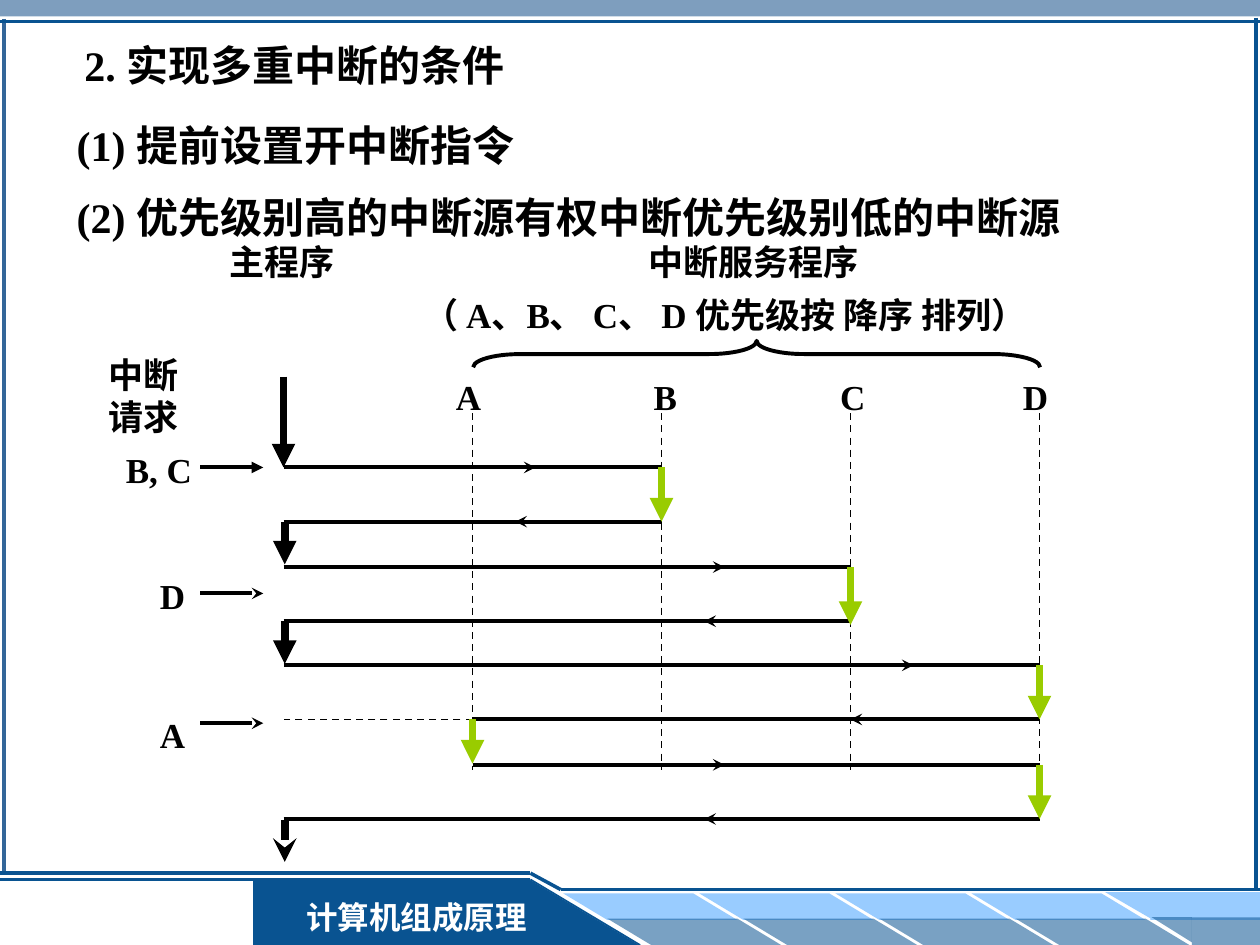
from dataclasses import dataclass

import pptx
import pptx.util
from lxml import etree
from pptx.dml.color import RGBColor
from pptx.enum.dml import MSO_LINE
from pptx.enum.shapes import MSO_CONNECTOR, MSO_SHAPE
from pptx.enum.text import MSO_ANCHOR, MSO_AUTO_SIZE, PP_ALIGN
from pptx.oxml.ns import qn
from pptx.util import Inches


@dataclass(frozen=True)
class Theme:
    font: str = "Times New Roman"
    ink: str = "000000"
    white: str = "FFFFFF"
    navy: str = "095391"
    steel: str = "336699"
    sky: str = "99CCFF"
    green: str = "99CC00"
    head: int = 24
    label: int = 20
    foot: int = 18
    thin: float = 1
    rule: float = 2
    flow: float = 2.25
    bold: float = 4.5


THEME = Theme()
LANES = {"A": 3.75, "B": 5.25, "C": 6.75, "D": 8.25}
MAIN = 2.25


def style(frame, text, size, color=THEME.ink, align=PP_ALIGN.LEFT):
    frame.text = text
    for para in frame.paragraphs:
        para.alignment = align
        for run in para.runs:
            font = run.font
            font.name, font.size, font.bold = THEME.font, pptx.util.Pt(size), True
            font.color.rgb = RGBColor.from_string(color)


def label(slide, text, x, y, w, h=0.44, size=THEME.label):
    box = slide.shapes.add_textbox(Inches(x), Inches(y), Inches(w), Inches(h))
    frame = box.text_frame
    frame.word_wrap = False
    frame.auto_size = MSO_AUTO_SIZE.NONE
    # Spare room on the right keeps each label on its own line
    frame.margin_right = 0
    style(frame, text, size)


def line(slide, start, end, width, color=THEME.ink, tip=None, dash=False):
    link = slide.shapes.add_connector(
        MSO_CONNECTOR.STRAIGHT, *(Inches(v) for v in (*start, *end)))
    link.line.width = pptx.util.Pt(width)
    link.line.color.rgb = RGBColor.from_string(color)
    if dash:
        link.line.dash_style = MSO_LINE.DASH
    props = link._element.spPr
    if tip:
        etree.SubElement(props.find(qn("a:ln")), qn("a:tailEnd"), type=tip)
    etree.SubElement(props, qn("a:effectLst"))


def block(slide, kind, x, y, w, h, color, alpha=None, flip="", adj=None):
    shape = slide.shapes.add_shape(kind, Inches(x), Inches(y), Inches(w), Inches(h))
    shape.shadow.inherit = False
    shape.fill.solid()
    shape.fill.fore_color.rgb = RGBColor.from_string(color)
    shape.line.fill.background()
    if adj:
        shape.adjustments[0] = adj
    props = shape._element.spPr
    for axis in flip:
        props.find(qn("a:xfrm")).set("flip" + axis, "1")
    if alpha:
        tint = props.find(qn("a:solidFill"))[0]
        etree.SubElement(tint, qn("a:alpha"), val=str(alpha * 1000))
    return shape


def border(slide):
    rect, wedge = MSO_SHAPE.RECTANGLE, MSO_SHAPE.RIGHT_TRIANGLE
    navy, sky = THEME.navy, THEME.sky
    block(slide, rect, 0, 0, 10, 0.13, THEME.steel, 63)
    line(slide, (0.03, 0.15), (0.03, 6.93), THEME.rule, THEME.steel)

    # Course tab
    block(slide, rect, 2.01, 6.98, 2.2, 0.52, navy)
    line(slide, (5.08, 7.5), (4.21, 6.98), 1, navy)
    line(slide, (4.21, 6.98), (0, 6.98), 1.5, navy)
    line(slide, (-0.01, 6.93), (4.21, 6.93), THEME.rule, navy)

    # Slanted tiles
    for i in range(4):
        x = 4.47 + 1.08 * i
        for dx, y, color, alpha in ((0, 7.09, sky, None), (0.35, 7.29, navy, 54)):
            block(slide, MSO_SHAPE.PARALLELOGRAM, x + dx, y, 1.38, 0.21,
                  color, alpha, "H", 1.66)
    block(slide, rect, 9.13, 7.08, 0.87, 0.22, sky)
    block(slide, wedge, 8.77, 7.08, 0.38, 0.22, sky, flip="HV")
    block(slide, rect, 9.46, 7.28, 0.54, 0.22, navy, 54)
    block(slide, wedge, 9.14, 7.28, 0.32, 0.2, navy, 54, "HV")
    line(slide, (4.45, 7.06), (10, 7.06), THEME.rule, navy)

    # Course name and edges
    name = block(slide, rect, 2.28, 7.08, 2.05, 0.4, navy)
    name.text_frame.vertical_anchor = MSO_ANCHOR.TOP
    style(name.text_frame, "计算机组成原理", THEME.foot, THEME.white, PP_ALIGN.CENTER)
    block(slide, wedge, 4.2, 6.98, 0.87, 0.52, navy)
    for start, end in (((4.21, 6.93), (4.45, 7.06)),
                       ((0, 0.17), (10, 0.17)),
                       ((9.97, 0.14), (9.97, 7.07))):
        line(slide, start, end, THEME.rule, navy)


def heading(slide):
    title = slide.shapes.title
    title.left, title.top = Inches(0.67), Inches(0.28)
    title.width, title.height = Inches(6.77), Inches(0.47)
    frame = title.text_frame
    frame.margin_left = frame.margin_right = 0
    frame.margin_top = frame.margin_bottom = 0
    frame.word_wrap = False
    frame.auto_size = MSO_AUTO_SIZE.NONE
    frame.vertical_anchor = MSO_ANCHOR.MIDDLE
    style(frame, "2. 实现多重中断的条件", THEME.head)
    label(slide, "(1) 提前设置开中断指令", 0.51, 0.9, 6.54, 0.5, THEME.head)
    label(slide, "(2) 优先级别高的中断源有权中断优先级别低的中断源",
          0.51, 1.47, 9.73, 0.5, THEME.head)


def lanes(slide):
    label(slide, "主程序", 1.72, 1.86, 1.03)
    label(slide, "中断服务程序", 5.05, 1.86, 1.87)
    label(slide, "（ A、B、 C、 D 优先级按 降序 排列）", 3.26, 2.28, 5.52)
    label(slide, "中断\n请求", 0.76, 2.76, 0.75, 0.77)

    brace = block(slide, MSO_SHAPE.LEFT_BRACE, 5.9, 0.56, 0.21, 4.5,
                  THEME.white, adj=1.79)
    brace.rotation = 90
    brace.fill.background()
    brace.line.width = pptx.util.Pt(THEME.flow)
    brace.line.color.rgb = RGBColor.from_string(THEME.ink)

    for (name, x), left in zip(LANES.items(), (3.52, 5.09, 6.57, 8.02)):
        line(slide, (x, 3.28), (x, 6.11), THEME.thin, dash=True)
        label(slide, name, left, 2.93, 0.4)


def flow(slide):
    # Jumps and returns: height, left end, right end, start of arrow, direction
    a, b, c, d = LANES.values()
    for y, left, right, start, way in (
            (3.71, MAIN, b, 3.75, 1), (4.14, MAIN, b, 4.59, -1),
            (4.5, MAIN, c, 5.25, 1), (4.93, MAIN, c, 6.09, -1),
            (5.28, MAIN, d, 6.75, 1), (5.71, a, d, 7.25, -1),
            (6.07, a, d, 5.25, 1), (6.5, MAIN, d, 6.09, -1)):
        line(slide, (left, y), (right, y), THEME.flow)
        line(slide, (start, y), (start + 0.5 * way, y), THEME.flow, tip="stealth")
    line(slide, (a, 5.71), (MAIN, 5.71), THEME.thin, dash=True)

    # Main program
    for x, top, end, tip in ((MAIN, 2.99, 3.71, "triangle"),
                             (2.26, 4.14, 4.48, "triangle"),
                             (2.26, 4.93, 5.27, "triangle"),
                             (2.26, 6.51, 6.84, "stealth")):
        line(slide, (x, top), (x, end), THEME.bold, tip=tip)

    # Service routines
    for x, top, end in ((b, 3.71, 4.14), (c, 4.5, 4.96), (d, 5.28, 5.71),
                        (a, 5.71, 6.06), (d, 6.07, 6.5)):
        line(slide, (x, top), (x, end), THEME.bold, THEME.green, "triangle")

    # Requests
    for text, x, y, w, level, tip in (("B, C", 0.9, 3.51, 0.72, 3.71, "triangle"),
                                      ("D", 1.17, 4.51, 0.4, 4.71, "stealth"),
                                      ("A", 1.17, 5.61, 0.4, 5.74, "stealth")):
        label(slide, text, x, y, w)
        line(slide, (1.59, level), (2.09, level), THEME.flow, tip=tip)


def main():
    deck = pptx.Presentation()
    deck.slide_width, deck.slide_height = Inches(10), Inches(7.5)
    slide = deck.slides.add_slide(deck.slide_layouts[5])
    border(slide)
    heading(slide)
    lanes(slide)
    flow(slide)
    deck.save("out.pptx")


if __name__ == "__main__":
    main()
